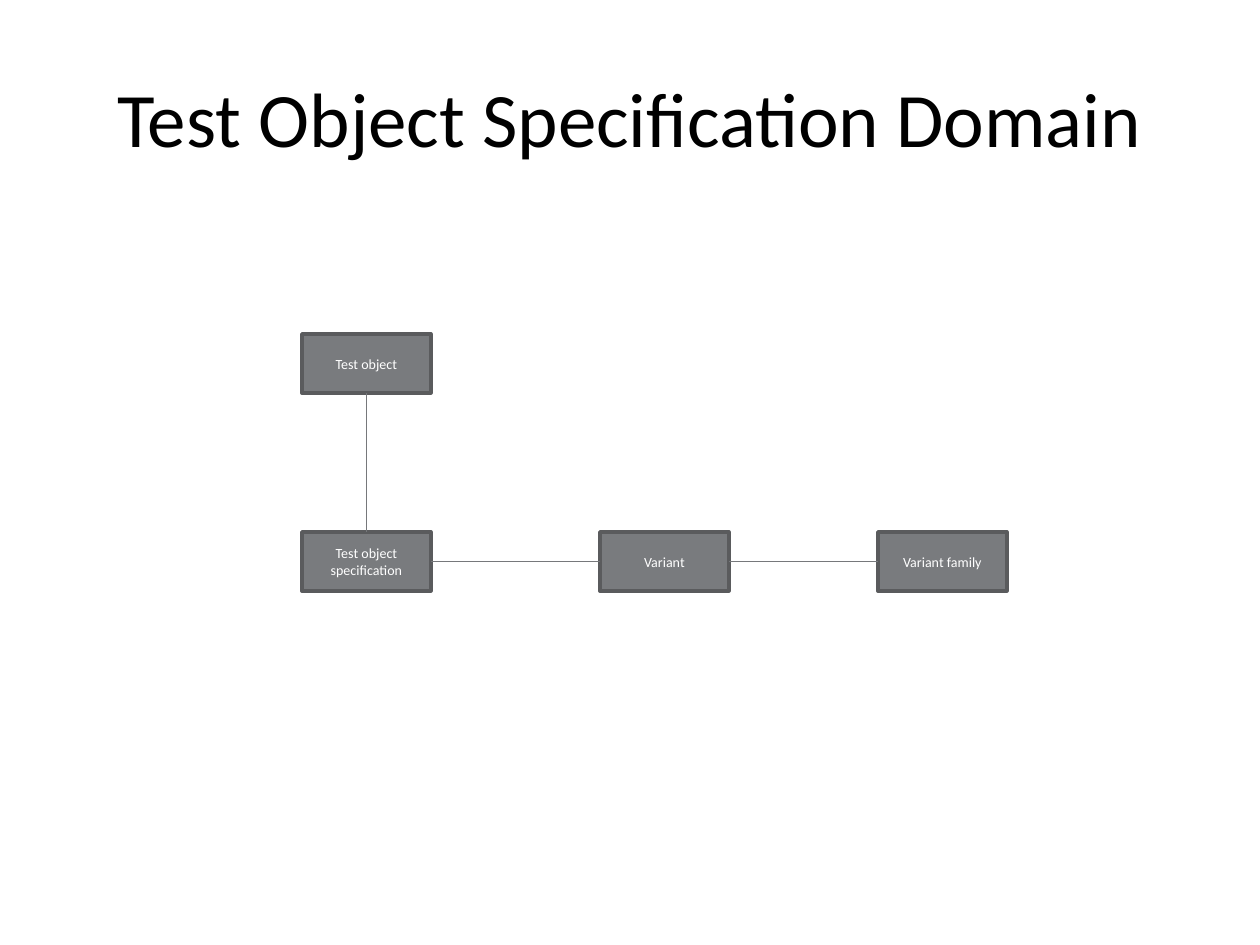
"""Builds the test object specification domain slide."""
from dataclasses import dataclass

from lxml import etree
from pptx import Presentation
from pptx import util as u
from pptx.dml.color import RGBColor
from pptx.enum import shapes, text
from pptx.oxml.ns import qn
from pptx.shapes.autoshape import Shape
from pptx.slide import Slide

PX_PER_INCH = 126
FONT = "Calibri"
BLACK = RGBColor(0x00, 0x00, 0x00)
WHITE = RGBColor(0xFF, 0xFF, 0xFF)
BOX_FILL = RGBColor(0x79, 0x7B, 0x7E)
BOX_BORDER = RGBColor(0x5A, 0x5B, 0x5D)
LINK_COLOR = RGBColor(0x76, 0x78, 0x7B)
BOX_WIDTH, BOX_HEIGHT = 129, 59
TOP, LEFT, BOTTOM, RIGHT = range(4)


@dataclass(frozen=True)
class Entity:
    """A named box of the domain model."""
    name: str
    left: int
    top: int


@dataclass(frozen=True)
class Link:
    """A line between the connection sites of two entities."""
    start: str
    start_site: int
    end: str
    end_site: int


ENTITIES = [
    Entity("Test object", 302, 334),
    Entity("Test object specification", 302, 532),
    Entity("Variant", 600, 532),
    Entity("Variant family", 878, 532),
]
LINKS = [
    Link("Test object", BOTTOM, "Test object specification", TOP),
    Link("Test object specification", RIGHT, "Variant", LEFT),
    Link("Variant", RIGHT, "Variant family", LEFT),
]


def px(length: int) -> u.Emu:
    """Turns pixels into EMU."""
    return u.Emu(round(length * u.Inches(1) / PX_PER_INCH))


def write(shape: Shape, words: str, size: int, color: RGBColor) -> None:
    """Writes one centred run into a shape."""
    frame = shape.text_frame
    frame.word_wrap = True
    frame.vertical_anchor = text.MSO_ANCHOR.MIDDLE
    paragraph = frame.paragraphs[0]
    paragraph.alignment = text.PP_ALIGN.CENTER
    run = paragraph.add_run()
    run.text = words
    run.font.name = FONT
    run.font.size = u.Pt(size)
    run.font.color.rgb = color


def add_title(slide: Slide, words: str) -> None:
    """Places and fills the title placeholder."""
    title = slide.shapes.title
    title.left, title.top, title.width, title.height = map(px, (63, 38, 1134, 158))
    write(title, words, 44, BLACK)


def add_entity(slide: Slide, entity: Entity) -> Shape:
    """Draws one entity box."""
    box = slide.shapes.add_shape(
        shapes.MSO_SHAPE.RECTANGLE,
        px(entity.left), px(entity.top), px(BOX_WIDTH), px(BOX_HEIGHT),
    )
    box.shadow.inherit = False
    box.fill.solid()
    box.fill.fore_color.rgb = BOX_FILL
    box.line.color.rgb = BOX_BORDER
    box.line.width = u.Pt(2)
    write(box, entity.name, 8, WHITE)
    return box


def add_link(slide: Slide, link: Link, boxes: dict[str, Shape]) -> None:
    """Draws a line glued to two entity boxes."""
    connector = slide.shapes.add_connector(shapes.MSO_CONNECTOR.STRAIGHT, 0, 0, 0, 0)
    connector.begin_connect(boxes[link.start], link.start_site)
    connector.end_connect(boxes[link.end], link.end_site)
    connector.line.color.rgb = LINK_COLOR
    connector.line.width = u.Pt(0.75)
    etree.SubElement(connector._element.spPr, qn("a:effectLst"))


def main() -> None:
    """Builds and saves the presentation."""
    presentation = Presentation()
    presentation.slide_width = u.Inches(10)
    presentation.slide_height = u.Inches(7.5)
    slide = presentation.slides.add_slide(presentation.slide_layouts[5])
    add_title(slide, "Test Object Specification Domain")
    boxes = {entity.name: add_entity(slide, entity) for entity in ENTITIES}
    for link in LINKS:
        add_link(slide, link, boxes)
    presentation.save("out.pptx")


if __name__ == "__main__":
    main()
